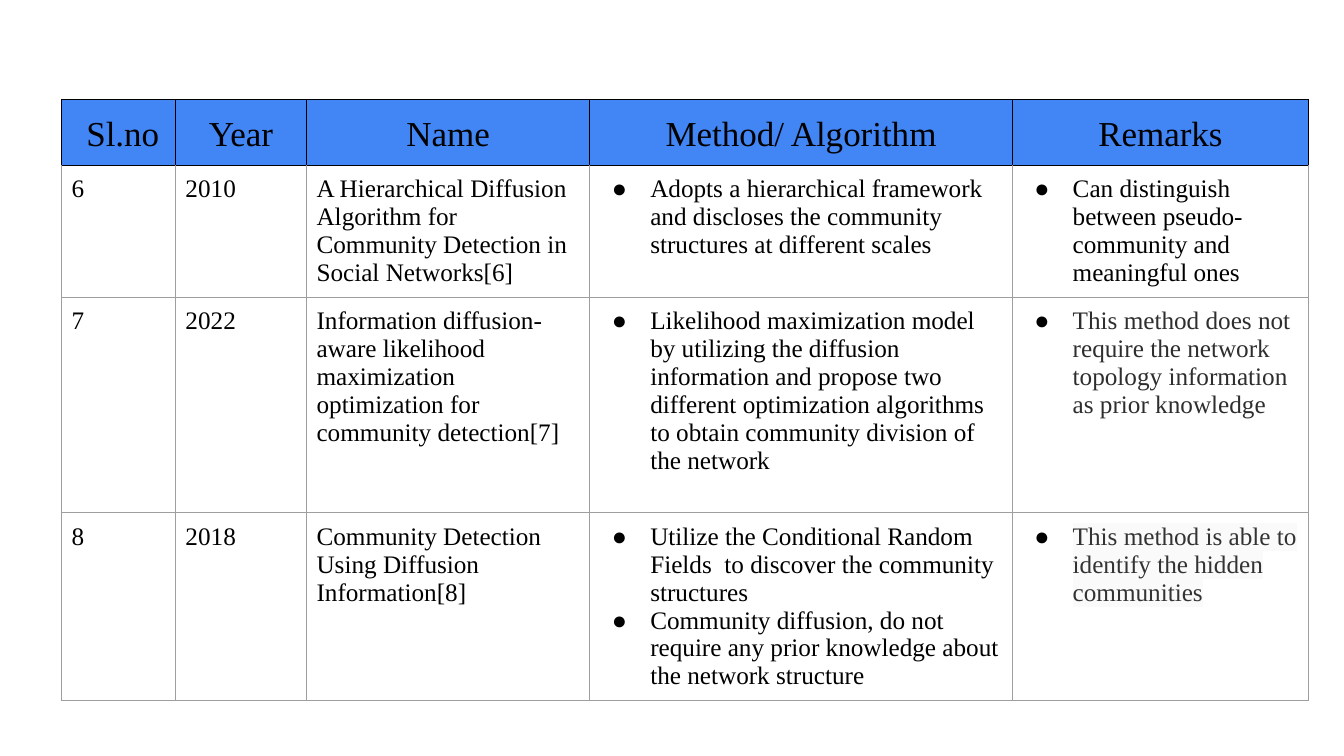
from lxml import etree
from pptx import Presentation
from pptx.dml.color import RGBColor
from pptx.enum.text import PP_ALIGN
from pptx.oxml.ns import qn
from pptx.util import Inches, Pt

CENTER, LEFT = PP_ALIGN.CENTER, PP_ALIGN.LEFT
COLORS = {
    "header": "4285F4",
    "text": "000000",
    "grid": "9E9E9E",
    "charcoal": "2E2E2E",
    "gray": "333333",
    "highlight": "FAFAFA",
}
COLUMN_WIDTHS = [1.13, 1.3, 2.81, 4.19, 2.94]
ROW_HEIGHTS = [0.65, 1.3, 2.14, 1.86]
HEADERS = [" Sl.no", "Year", "Name", "Method/ Algorithm", "Remarks"]
FIRST_BULLET_COLUMN = 3
# Number, year, name, methods, remark, remark colour, remark highlight
PAPERS = [
    ("6", "2010",
     "A Hierarchical Diffusion Algorithm for Community Detection in Social Networks[6]",
     "Adopts a hierarchical framework and discloses the community structures "
     "at different scales",
     "Can distinguish between pseudo-community and meaningful ones",
     "text", None),
    ("7", "2022",
     "Information diffusion-aware likelihood maximization optimization for "
     "community detection[7]",
     "Likelihood maximization model by utilizing the diffusion information and "
     "propose two different optimization algorithms to obtain community division "
     "of the network",
     "This method does not require the network topology information as prior knowledge",
     "charcoal", None),
    ("8", "2018",
     "Community Detection Using Diffusion Information[8]",
     "Utilize the Conditional Random Fields  to discover the community structures\n"
     "Community diffusion, do not require any prior knowledge about the network structure",
     "This method is able to identify the hidden communities",
     "gray", "highlight"),
]


def add_color(parent, color):
    etree.SubElement(parent, qn("a:srgbClr"), val=COLORS[color])


class SlideBuilder:
    font = "Times New Roman"

    def __init__(self, slide):
        self.slide = slide

    def table(self, left, top, widths, heights):
        frame = self.slide.shapes.add_table(
            len(heights), len(widths), Inches(left), Inches(top),
            Inches(sum(widths)), Inches(sum(heights)))
        table = frame.table
        table.first_row = table.horz_banding = False
        for column, width in zip(table.columns, widths):
            column.width = Inches(width)
        for row, height in zip(table.rows, heights):
            row.height = Inches(height)
        return table

    def borders(self, cell, side, top):
        properties = cell._tc.get_or_add_tcPr()
        for edge in ("L", "R", "T", "B"):
            line = etree.SubElement(properties, qn(f"a:ln{edge}"), w=str(Pt(0.75)))
            add_color(etree.SubElement(line, qn("a:solidFill")), top if edge == "T" else side)

    def bullet(self, para):
        properties = para._p.get_or_add_pPr()
        properties.set("marL", str(Inches(0.5)))
        properties.set("indent", str(Inches(-0.38)))
        add_color(etree.SubElement(properties, qn("a:buClr")), "text")
        etree.SubElement(properties, qn("a:buFont"), typeface=self.font)
        etree.SubElement(properties, qn("a:buChar"), char="●")

    def highlight(self, span, color):
        mark = etree.Element(qn("a:highlight"))
        add_color(mark, color)
        span.font._element.find(qn("a:latin")).addprevious(mark)

    def cell(self, cell, text, size=18, color="text", fill=None, align=LEFT,
             spacing=None, bullets=False, side="grid", top="grid", highlight=None):
        cell.margin_left = cell.margin_right = Inches(0.1)
        cell.margin_top = cell.margin_bottom = Inches(0.1)
        self.borders(cell, side, top)
        if fill:
            cell.fill.solid()
            cell.fill.fore_color.rgb = RGBColor.from_string(COLORS[fill])
        else:
            cell.fill.background()
        cell.text_frame.text = text
        for para in cell.text_frame.paragraphs:
            para.alignment = align
            if spacing:
                para.line_spacing = spacing
            if bullets:
                self.bullet(para)
            for span in para.runs:
                span.font.size = Pt(size)
                span.font.name = self.font
                span.font.color.rgb = RGBColor.from_string(COLORS[color])
                if highlight:
                    self.highlight(span, highlight)


def main():
    deck = Presentation()
    deck.slide_width, deck.slide_height = Inches(13.33), Inches(7.5)
    builder = SlideBuilder(deck.slides.add_slide(deck.slide_layouts[6]))
    table = builder.table(0.61, 0.99, COLUMN_WIDTHS, ROW_HEIGHTS)

    for column, header in enumerate(HEADERS):
        builder.cell(table.cell(0, column), header, size=25, fill="header",
                     align=CENTER, spacing=1.15, side="text", top="text")

    for row, (*texts, remark_color, remark_highlight) in enumerate(PAPERS, start=1):
        for column, text in enumerate(texts):
            is_remark = column == len(texts) - 1
            builder.cell(table.cell(row, column), text,
                         color=remark_color if is_remark else "text",
                         highlight=remark_highlight if is_remark else None,
                         bullets=column >= FIRST_BULLET_COLUMN,
                         top="text" if row == 1 else "grid")

    deck.save("out.pptx")


if __name__ == "__main__":
    main()
